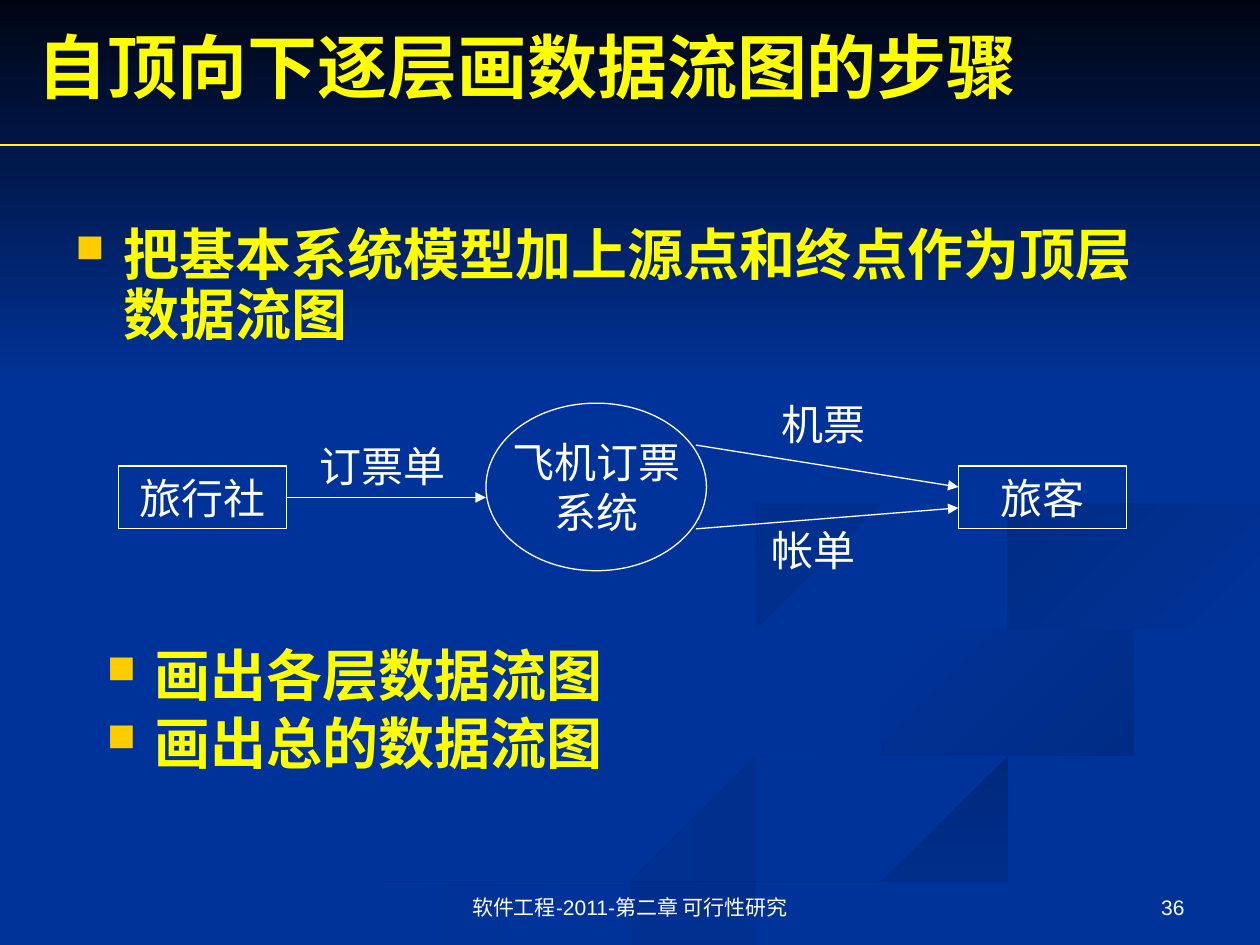
from dataclasses import dataclass
from math import hypot

from lxml.etree import SubElement
from pptx import Presentation
from pptx.dml.color import RGBColor
from pptx.enum.shapes import MSO_CONNECTOR, MSO_SHAPE
from pptx.enum.text import MSO_ANCHOR, MSO_AUTO_SIZE, PP_ALIGN
from pptx.oxml.ns import qn
from pptx.util import Inches, Pt

WIDTH, HEIGHT = 10, 7.5
BLUE = RGBColor(0x00, 0x33, 0x99)
NIGHT = RGBColor(0x00, 0x05, 0x14)
DEEP = RGBColor(0x00, 0x2C, 0x85)
DARK = RGBColor(0x00, 0x29, 0x7C)
YELLOW = RGBColor(0xFF, 0xFF, 0x00)
WHITE = RGBColor(0xFF, 0xFF, 0xFF)
GOLD = "FFCC00"

TITLE = {"size": Pt(40), "name": "Times New Roman", "bold": True}
BULLET = {"size": Pt(32), "name": "Times New Roman", "bold": True}
LABEL = {"size": Pt(24), "name": "Times New Roman", "bold": False}
FOOTER = {"size": Pt(12), "name": "Arial", "bold": False}

# Ribbons: centre line points with half width, gradient colours, angle
RIBBONS = [
    ([(5.85, 4.6, 0.08), (6.8, 5.2, 0.02), (7.92, 5.75, 0.07),
      (6.2, 6.35, 0.1), (3.3, 7.49, 0.2)], DEEP, BLUE, 180),
    ([(7.24, 4.64, 0), (8.3, 5.25, 0.03), (9.3, 5.7, 0.13),
      (8.94, 6.05, 0)], DEEP, BLUE, 225),
    ([(9.98, 5.95, 0.14), (7.8, 6.53, 0.1), (5.3, 7.49, 0.25)],
     DARK, BLUE, 90),
    ([(9.98, 4.11, 0.09), (8.6, 4.34, 0.08), (7.93, 4.65, 0.12),
      (8.26, 4.96, 0)], BLUE, DEEP, 225),
    ([(7.62, 2.33, 0), (8.9, 3.35, 0.03), (8, 3.98, 0.05),
      (5.85, 4.6, 0.08)], BLUE, DEEP, 225),
]


@dataclass
class Box:
    left: float
    top: float
    width: float
    height: float

    def cell(self, x, y, width, height, columns=1, rows=1):
        """Part of this box, given in columns and rows of its grid."""
        across, down = self.width / columns, self.height / rows
        return Box(self.left + x * across, self.top + y * down,
                   width * across, height * down)

    def lengths(self):
        return [Inches(n) for n in (self.left, self.top, self.width, self.height)]


def write(shape, lines, style, color, align=PP_ALIGN.LEFT,
          anchor=MSO_ANCHOR.TOP, wrap=True):
    frame = shape.text_frame
    frame.word_wrap, frame.vertical_anchor = wrap, anchor
    frame.auto_size = MSO_AUTO_SIZE.NONE
    frame.text = "\n".join(lines)
    for para in frame.paragraphs:
        para.alignment = align
        for span in para.runs:
            for key, value in style.items():
                setattr(span.font, key, value)
            span.font.color.rgb = color
    return frame.paragraphs


def add_text(page, box, *content, **layout):
    return write(page.shapes.add_textbox(*box.lengths()), *content, **layout)


def add_line(page, start, end, color, arrow=False):
    line = page.shapes.add_connector(
        MSO_CONNECTOR.STRAIGHT, *[Inches(n) for n in (*start, *end)])
    line.line.color.rgb, line.line.width = color, Pt(0.75)
    if arrow:
        SubElement(line.line._get_or_add_ln(), qn("a:tailEnd"), type="triangle")
    SubElement(line._element.spPr, qn("a:effectLst"))


def shade(shape, first, last, angle):
    shape.shadow.inherit = False
    shape.line.fill.background()
    shape.fill.gradient()
    shape.fill.gradient_angle = 360 - angle
    for stop, color in zip(shape.fill.gradient_stops, (first, last)):
        stop.color.rgb = color


def smooth(points, steps=8):
    """Catmull-Rom curve through points of any dimension."""
    padded = [points[0], *points, points[-1]]
    curve = []
    for group in zip(padded, padded[1:], padded[2:], padded[3:]):
        for step in range(steps):
            t = step / steps
            curve.append([
                b + t * (c - a + t * (2 * a - 5 * b + 4 * c - d
                                      + t * (3 * b - a - 3 * c + d))) / 2
                for a, b, c, d in zip(*group)])
    return [*curve, points[-1]]


def ribbon_outline(points):
    """Both edges of a ribbon, at right angles to its centre line."""
    curve = smooth(points)
    near, far = [], []
    for before, (x, y, half), after in zip(
            [curve[0], *curve], curve, [*curve[1:], curve[-1]]):
        run, rise = after[0] - before[0], after[1] - before[1]
        scale = half / hypot(run, rise)
        for edge, side in ((near, scale), (far, -scale)):
            edge.append((min(x - rise * side, WIDTH),
                         min(y + run * side, HEIGHT)))
    return near + far[::-1]


def add_background(page, box):
    page.background.fill.solid()
    page.background.fill.fore_color.rgb = BLUE
    for points, first, last, angle in RIBBONS:
        outline = ribbon_outline(points)
        builder = page.shapes.build_freeform(*outline[0], scale=Inches(1))
        builder.add_line_segments(outline[1:], close=True)
        shade(builder.convert_to_shape(), first, last, angle)
    sky = box.cell(0, 0, 1, 0.41)
    shade(page.shapes.add_shape(MSO_SHAPE.RECTANGLE, *sky.lengths()),
          NIGHT, BLUE, 90)


def add_title(page, box, words):
    title = page.shapes.title
    page.shapes._spTree.append(title._element)  # in front of the background
    place = box.cell(0.02, 0.12, 0.9, 0.67)
    title.left, title.top, title.width, title.height = place.lengths()
    write(title, [words], TITLE, YELLOW, anchor=MSO_ANCHOR.MIDDLE)
    bottom = box.top + box.height
    add_line(page, (box.left, bottom), (box.left + box.width, bottom), YELLOW)


def add_bullets(page, box, lines, spacing):
    for para in add_text(page, box, lines, BULLET, YELLOW):
        para.line_spacing, para.space_before = spacing, Pt(8)
        props = para._p.get_or_add_pPr()
        props.set("marL", str(Inches(0.38)))
        props.set("indent", str(-Inches(0.38)))
        color = SubElement(props, qn("a:buClr"))
        SubElement(color, qn("a:srgbClr"), val=GOLD)
        SubElement(props, qn("a:buSzPct"), val="70000")
        SubElement(props, qn("a:buChar"), char="■")


def add_flow_diagram(page, box):
    grid = {"columns": 48, "rows": 8}
    # Source, destination and process
    for kind, cell, lines in [
            (MSO_SHAPE.RECTANGLE, (0, 3, 8, 3), ["旅行社"]),
            (MSO_SHAPE.RECTANGLE, (40, 3, 8, 3), ["旅客"]),
            (MSO_SHAPE.OVAL, (17.5, 0, 10.5, 8), ["飞机订票", "系统"])]:
        node = page.shapes.add_shape(kind, *box.cell(*cell, **grid).lengths())
        node.shadow.inherit = False
        node.fill.background()
        node.line.color.rgb, node.line.width = WHITE, Pt(0.75)
        write(node, lines, LABEL, WHITE, PP_ALIGN.CENTER,
              MSO_ANCHOR.MIDDLE, wrap=False)
    # Data flows: arrow with its run and rise, then label
    for arrow, label, words in [
            ((8, 4.5, 9.5, 0), (9, 1.5, 7.2, 3), "订票单"),
            ((27.5, 2, 12.5, 2), (31, -0.5, 5.2, 3), "机票"),
            ((27.5, 6, 12.5, -1), (30.5, 5.5, 5.2, 3), "帐单")]:
        flow = box.cell(*arrow, **grid)
        add_line(page, (flow.left, flow.top),
                 (flow.left + flow.width, flow.top + flow.height), WHITE, True)
        add_text(page, box.cell(*label, **grid), [words], LABEL, WHITE,
                 wrap=False)


def add_footer(page, box):
    for x, width, words, align in [
            (0.34, 0.32, "软件工程-2011-第二章 可行性研究", PP_ALIGN.CENTER),
            (0.72, 0.23, "36", PP_ALIGN.RIGHT)]:
        add_text(page, box.cell(x, 0, width, 1), [words], FOOTER, WHITE,
                 align=align, anchor=MSO_ANCHOR.BOTTOM)


def main():
    deck = Presentation()
    deck.slide_width, deck.slide_height = Inches(WIDTH), Inches(HEIGHT)
    page = deck.slides.add_slide(deck.slide_layouts[5])
    whole = Box(0, 0, WIDTH, HEIGHT)
    add_background(page, whole)
    add_title(page, Box(0, 0, WIDTH, 1.15), "自顶向下逐层画数据流图的步骤")
    add_bullets(page, Box(0.5, 1.75, 9, 1.13),
                ["把基本系统模型加上源点和终点作为顶层数据流图"], 0.9)
    add_flow_diagram(page, Box(0.94, 3.2, 8, 1.33))
    add_bullets(page, Box(0.75, 5.14, 9, 1.13),
                ["画出各层数据流图", "画出总的数据流图"], 0.8)
    add_footer(page, whole.cell(0, 0.91, 1, 0.07))
    deck.save("out.pptx")


if __name__ == "__main__":
    main()
